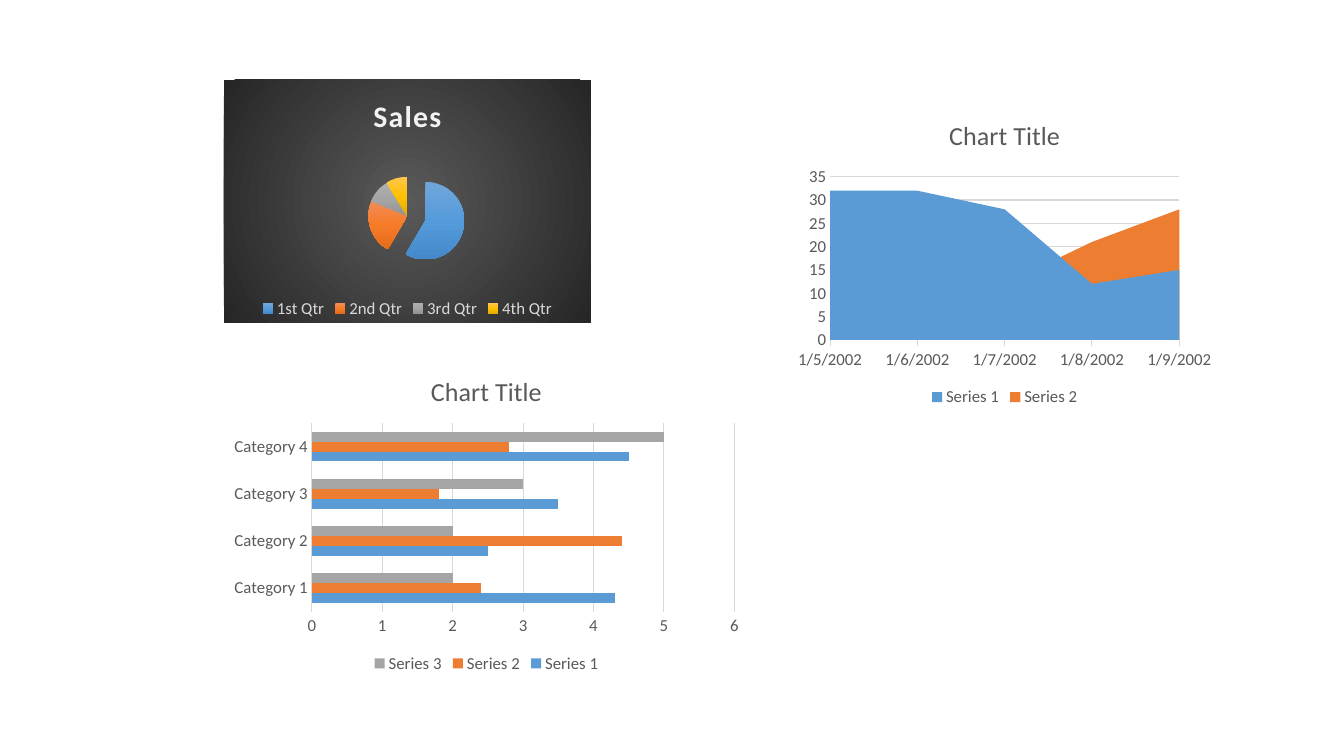
from dataclasses import dataclass
from lxml import etree
from pptx import Presentation
from pptx import util as u
from pptx.chart.data import CategoryChartData
from pptx.dml.color import RGBColor
from pptx.enum import chart as ch
from pptx.oxml.ns import qn


@dataclass(frozen=True)
class Theme:
    face: str = "Calibri"
    ink: str = "595959"
    rule: str = "D9D9D9"
    pale: str = "F2F2F2"
    label: float = 12
    head: float = 18.6
    big: float = 21.3
    hair: float = 0.75
    hues: tuple = ("5B9BD5", "ED7D31", "A5A5A5")
    dark: tuple = ("595959", "262626")
    slices: tuple = (
        ("71A6DB", "559BDB", "448ACA"),
        ("F18C57", "F67B28", "E56C19"),
        ("AFAFAF", "A5A5A5", "939393"),
        ("FFC64B", "FFC000", "E3AB00"),
    )


T = Theme()
KIND = ch.XL_CHART_TYPE
TICK = ch.XL_TICK_MARK


def style(font, size, color, bold=False):
    font.name = T.face
    font.size = u.Pt(size)
    font.bold = bold
    font.color.rgb = RGBColor.from_string(color)


def rule(line):
    line.color.rgb = RGBColor.from_string(T.rule)
    line.width = u.Pt(T.hair)


def blend(tones, radial=False):
    grad = etree.Element(qn("a:gradFill"), rotWithShape="1")
    stops = etree.SubElement(grad, qn("a:gsLst"))
    for i, tone in enumerate(tones):
        place = str(100000 * i // (len(tones) - 1))
        stop = etree.SubElement(stops, qn("a:gs"), pos=place)
        etree.SubElement(stop, qn("a:srgbClr"), val=tone)
    if radial:
        way = etree.SubElement(grad, qn("a:path"), path="circle")
        sides = dict.fromkeys("ltrb", "50000")
        etree.SubElement(way, qn("a:fillToRect"), **sides)
    else:
        etree.SubElement(grad, qn("a:lin"), ang="5400000", scaled="0")
    return grad


def plot(slide, box, kind, cats, rows, title, size, tint, text, bold=False):
    data = CategoryChartData()
    data.categories = cats
    for name, vals in rows:
        data.add_series(name, vals)
    area = [u.Inches(v) for v in box]
    chart = slide.shapes.add_chart(kind, *area, data).chart
    style(chart.font, T.label, text)
    chart.has_title = True
    para = chart.chart_title.text_frame.paragraphs[0]
    para.text = title
    style(para.font, size, tint, bold)
    chart.chart_title.include_in_layout = False
    chart.has_legend = True
    chart.legend.position = ch.XL_LEGEND_POSITION.BOTTOM
    chart.legend.include_in_layout = False
    style(chart.legend.font, T.label, text)
    return chart


def graph(slide, box, kind, cats, rows, tick):
    chart = plot(slide, box, kind, cats, rows, "Chart Title", T.head, T.ink, T.ink)
    chart.plots[0].vary_by_categories = False
    for axis, mark in ((chart.category_axis, tick), (chart.value_axis, TICK.NONE)):
        axis.major_tick_mark = mark
        axis.minor_tick_mark = TICK.NONE
        style(axis.tick_labels.font, T.label, T.ink)
    chart.category_axis.has_major_gridlines = False
    rule(chart.category_axis.format.line)
    chart.value_axis.format.line.fill.background()
    chart.value_axis.has_major_gridlines = True
    rule(chart.value_axis.major_gridlines.format.line)
    for series, hue in zip(chart.plots[0].series, T.hues):
        fill = series.format.fill
        fill.solid()
        fill.fore_color.rgb = RGBColor.from_string(hue)
    return chart


def bars(slide, box):
    cats = [f"Category {n}" for n in range(1, 5)]
    rows = [
        ("Series 1", (4.3, 2.5, 3.5, 4.5)),
        ("Series 2", (2.4, 4.4, 1.8, 2.8)),
        ("Series 3", (2, 2, 3, 5)),
    ]
    chart = graph(slide, box, KIND.BAR_CLUSTERED, cats, rows, TICK.NONE)
    chart.plots[0].gap_width = 182


def hills(slide, box):
    cats = [f"1/{day}/2002" for day in range(5, 10)]
    rows = [
        ("Series 1", (32, 32, 28, 12, 15)),
        ("Series 2", (12, 12, 12, 21, 28)),
    ]
    chart = graph(slide, box, KIND.AREA, cats, rows, TICK.OUTSIDE)
    root = chart.element
    root.find(".//" + qn("c:crossBetween")).set("val", "midCat")


def pie(slide, box):
    cats = ("1st Qtr", "2nd Qtr", "3rd Qtr", "4th Qtr")
    rows = [("Sales", (59, 23, 10, 9))]
    chart = plot(slide, box, KIND.PIE, cats, rows, "Sales", T.big, T.pale, T.rule, True)
    root = chart.element
    root.find(".//" + qn("a:defRPr")).set("spc", "100")
    back = etree.Element(qn("c:spPr"))
    back.append(blend(T.dark, True))
    etree.SubElement(etree.SubElement(back, qn("a:ln")), qn("a:noFill"))
    root.find(qn("c:chart")).addnext(back)
    series = chart.plots[0].series[0]
    for i in range(len(cats)):
        series.points[i].format.fill.solid()
    dots = root.findall(".//" + qn("c:dPt"))
    for dot, tones in zip(dots, T.slices):
        solid = dot.find(".//" + qn("a:solidFill"))
        solid.getparent().replace(solid, blend(tones))
    burst = etree.Element(qn("c:explosion"), val="48")
    dots[0].find(qn("c:spPr")).addprevious(burst)


def main():
    deck = Presentation()
    deck.slide_width, deck.slide_height = u.Inches(13.33), u.Inches(7.5)
    slide = deck.slides.add_slide(deck.slide_layouts[6])
    bars(slide, (2.22, 3.54, 5.21, 3.18))
    pie(slide, (2.22, 0.79, 3.64, 2.41))
    hills(slide, (7.83, 1, 4.27, 3.08))
    deck.save("out.pptx")


if __name__ == "__main__":
    main()
